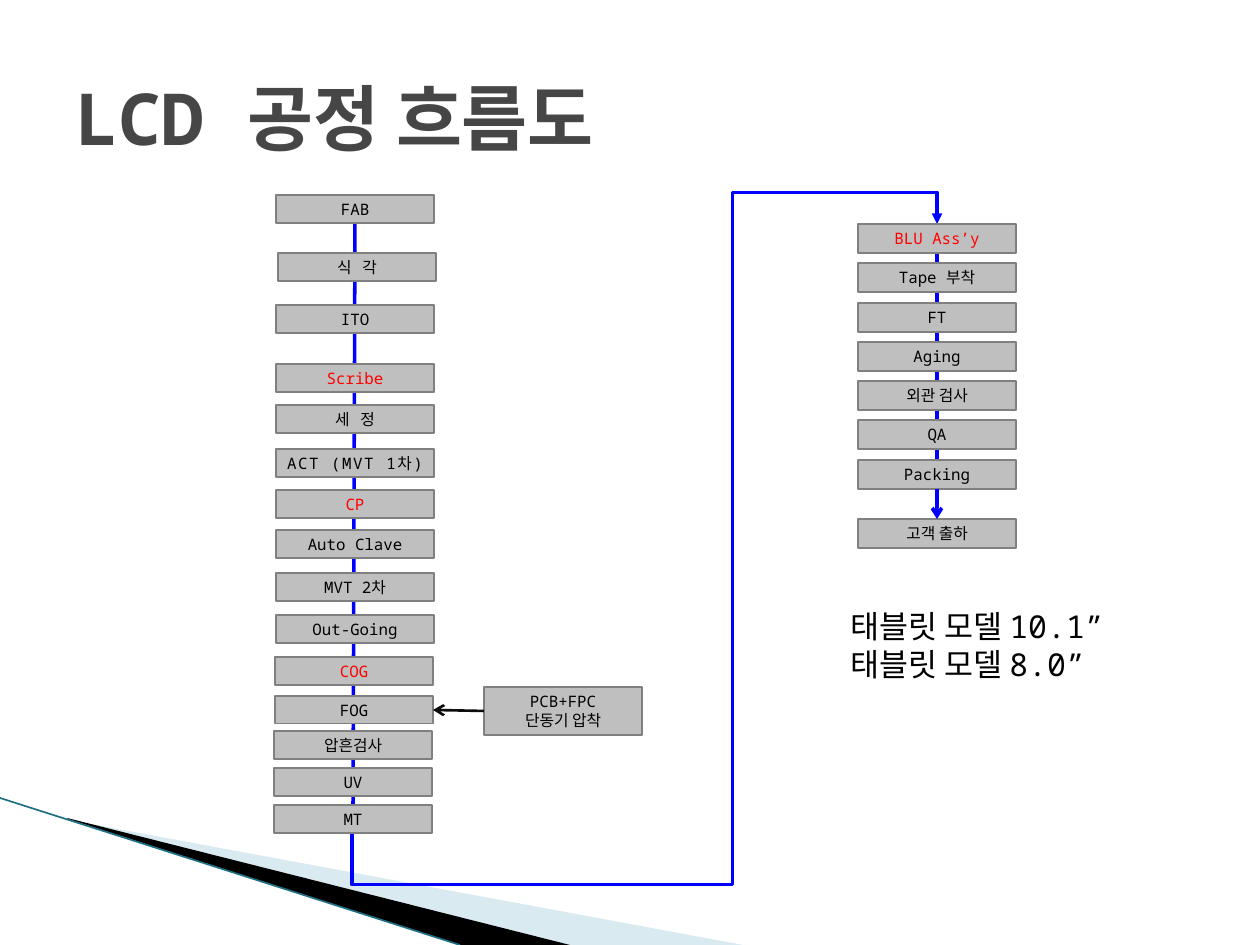
from lxml.etree import SubElement
from pptx import Presentation
from pptx.dml.color import RGBColor
from pptx.enum.shapes import MSO_CONNECTOR, MSO_SHAPE
from pptx.enum.text import MSO_ANCHOR, PP_ALIGN
from pptx.oxml.ns import qn
from pptx.util import Emu, Pt

EMU_PER_PX = 914400 / 126
FONT = "Noto Sans Mono"
BLUE, BLACK, RED = "0000FF", "000000", "FF0000"
BOX_W = 158
PANEL_STEPS = [
    ("FAB", 276, 195), ("식 각", 278, 253), ("ITO", 276, 305),
    ("Scribe", 276, 364), ("세 정", 276, 405), ("ACT (MVT 1차)", 276, 449),
    ("CP", 276, 490), ("Auto Clave", 276, 530), ("MVT 2차", 276, 573),
    ("Out-Going", 276, 615), ("COG", 275, 657), ("FOG", 275, 696),
    ("압흔검사", 274, 731), ("UV", 274, 768), ("MT", 274, 805),
]
MODULE_STEPS = ["BLU Ass’y", "Tape 부착", "FT", "Aging", "외관 검사", "QA", "Packing"]
KEY_STEPS = {"Scribe", "CP", "COG", "BLU Ass’y"}
TRACKING = {"식 각": 200, "세 정": 200, "ACT (MVT 1차)": 90}


def px(value):
    """Turn px into EMU."""
    return Emu(round(value * EMU_PER_PX))


def rgb(code):
    """Turn a hex string into a colour."""
    return RGBColor.from_string(code)


def apply(target, formats):
    """Set each attribute named in a dict."""
    for name, value in formats.items():
        setattr(target, name, value)


def write(frame, lines, size, color, align=PP_ALIGN.LEFT, bold=False):
    """Write one paragraph for each line."""
    for index, line in enumerate(lines):
        paragraph = frame.paragraphs[0] if index == 0 else frame.add_paragraph()
        paragraph.alignment = align
        run = paragraph.add_run()
        run.text = line
        apply(run.font, {"name": FONT, "size": Pt(size), "bold": bold})
        run.font.color.rgb = rgb(color)
        if line in TRACKING:
            run.font._element.set("spc", str(TRACKING[line]))


def add_text(slide, box, lines, size, color, bold=False, anchor=MSO_ANCHOR.TOP):
    """Add wrapped text in a box."""
    frame = slide.shapes.add_textbox(*map(px, box)).text_frame
    apply(frame, {"word_wrap": True, "vertical_anchor": anchor})
    write(frame, lines, size, color, bold=bold)


def add_step(slide, box, lines):
    """Add one grey process step."""
    step = slide.shapes.add_shape(MSO_SHAPE.RECTANGLE, *map(px, box))
    step.shadow.inherit = False
    step.fill.solid()
    step.fill.fore_color.rgb = rgb("BFBFBF")
    step.line.color.rgb = rgb("808080")
    step.line.width = Pt(0.75)
    apply(step.text_frame, {
        "word_wrap": False, "vertical_anchor": MSO_ANCHOR.MIDDLE,
        "margin_left": px(14), "margin_right": px(14),
        "margin_top": px(7), "margin_bottom": px(7),
    })
    color = RED if lines[0] in KEY_STEPS else BLACK
    write(step.text_frame, lines, 9, color, PP_ALIGN.CENTER)
    return step


def add_line(slide, start, end, color, width, tail=None, kind=MSO_CONNECTOR.STRAIGHT):
    """Add a connector without shadow, with an optional arrowhead."""
    line = slide.shapes.add_connector(kind, *map(px, (*start, *end)))
    line.line.color.rgb = rgb(color)
    line.line.width = Pt(width)
    if tail:
        SubElement(line.line._get_or_add_ln(), qn("a:tailEnd"), type=tail)
    SubElement(line._element.spPr, qn("a:effectLst"))
    return line


def join(slide, source, source_side, target, target_side, color=BLUE, width=2, tail=None):
    """Join the sides of two steps by a straight connector."""
    line = add_line(slide, (0, 0), (1, 1), color, width, tail)
    line.begin_connect(source, source_side)
    line.end_connect(target, target_side)
    return line


def add_spine(slide, first, last, last_side):
    """Run a line behind the steps of a column."""
    spine = join(slide, first, 2, last, last_side)
    slide.shapes._spTree.insert(2, spine._element)


def add_wedge(slide, points, color, alpha=None):
    """Add one filled wedge."""
    builder = slide.shapes.build_freeform(*points[0], scale=EMU_PER_PX)
    builder.add_line_segments(points[1:])
    wedge = builder.convert_to_shape()
    wedge.shadow.inherit = False
    wedge.fill.solid()
    wedge.fill.fore_color.rgb = rgb(color)
    wedge.line.fill.background()
    if alpha:
        tint = wedge._element.spPr.find(qn("a:solidFill"))[0]
        SubElement(tint, qn("a:alpha"), val=str(alpha * 1000))


def add_corner(slide, left, top):
    """Draw the wedges and the edge line at the lower left."""
    light = [(69, 22), (743, 147), (570, 147), (69, 21)]
    dark = [(67, 20), (570, 147), (460, 147), (68, 21)]
    for points, color, alpha in ((light, "A0CBDC", 40), (dark, BLACK, None)):
        add_wedge(slide, [(left + x, top + y) for x, y in points], color, alpha)
    add_line(slide, (left, top), (left + 460, top + 147), "1F7083", 0.95)


def add_panel_column(slide, left, top):
    """Draw the panel steps with the bonding input at the side."""
    steps = {
        name: add_step(slide, (left + x - 274, top + y - 195, BOX_W, 28), [name])
        for name, x, y in PANEL_STEPS
    }
    add_spine(slide, steps["FAB"], steps["MT"], 0)
    bonding = add_step(slide, (left + 210, top + 492, BOX_W, 48), ["PCB+FPC", "단동기 압착"])
    join(slide, bonding, 1, steps["FOG"], 3, "0D0D0D", 1.5, "arrow")


def add_module_column(slide, left, top):
    """Draw the module steps and the shipment."""
    steps = [
        add_step(slide, (left, top + round(39.3 * row), BOX_W, 29), [name])
        for row, name in enumerate(MODULE_STEPS)
    ]
    add_spine(slide, steps[0], steps[-1], 2)
    shipment = add_step(slide, (left, top + 295, BOX_W, 29), ["고객 출하"])
    join(slide, steps[-1], 2, shipment, 0, tail="arrow")


def add_return_path(slide, start, end):
    """Lead from the foot of one column up to the head of the next."""
    width, height = start[1] - end[1], end[0] - start[0]
    left = (start[0] + end[0] - width) / 2
    top = (start[1] + end[1] - height) / 2
    route = add_line(slide, (left, top), (left + width, top + height), BLUE, 2,
                     "triangle", MSO_CONNECTOR.ELBOW)
    properties = route._element.spPr
    for name, value in {"rot": "5400000", "flipH": "1", "flipV": "1"}.items():
        properties.find(qn("a:xfrm")).set(name, value)
    geometry = properties.find(qn("a:prstGeom"))
    geometry.set("prst", "bentConnector5")
    bends = geometry.find(qn("a:avLst"))
    for number, bend in enumerate((-8500, 65000, 105200), 1):
        SubElement(bends, qn("a:gd"), name=f"adj{number}", fmla=f"val {bend}")


def main():
    """Build the process flow slide."""
    deck = Presentation()
    apply(deck, {"slide_width": px(1260), "slide_height": px(945)})
    slide = deck.slides.add_slide(deck.slide_layouts[6])
    add_corner(slide, 0, 798)
    add_text(slide, (63, 38, 1134, 157), ["LCD 공정 흐름도"], 41, "464646", True,
             MSO_ANCHOR.MIDDLE)
    add_return_path(slide, (352, 833), (937, 224))
    add_module_column(slide, 858, 224)
    add_panel_column(slide, 274, 195)
    add_text(slide, (838, 601, 338, 89), ["태블릿 모델 10.1”", "태블릿 모델 8.0”"], 18, BLACK)
    deck.save("out.pptx")


if __name__ == "__main__":
    main()
